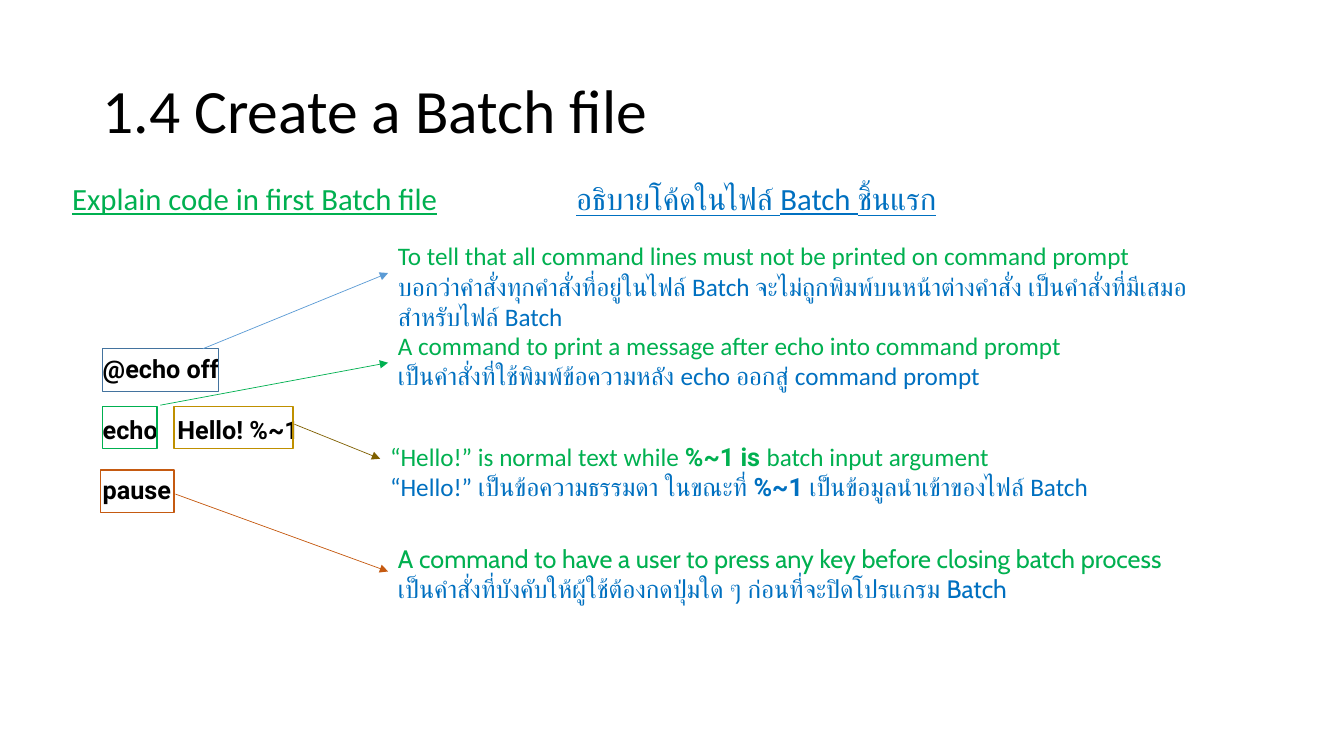
from lxml.etree import SubElement as Sub
from pptx import Presentation
from pptx.dml.color import RGBColor
from pptx.enum.shapes import MSO_CONNECTOR as Conn, MSO_SHAPE as Shape
from pptx.enum.text import MSO_ANCHOR as Anchor, PP_ALIGN as Align
from pptx.oxml.ns import qn
from pptx.util import Cm, Pt

GREEN, BLUE, BLACK = "00B050", "0070C0", "000000"

# top, height, left, font, English line, Thai line; odd pieces of a line are code
NOTES = [
    (5.94, 2.57, 9.78, "Calibri",
     ["To tell that all command lines must not be printed on command prompt"],
     ["บอกว่าคำสั่งทุกคำสั่งที่อยู่ในไฟล์ Batch จะไม่ถูกพิมพ์บนหน้าต่างคำสั่ง "
      "เป็นคำสั่งที่มีเสมอสำหรับไฟล์ Batch"]),
    (8.2, 1.8, 9.78, "Calibri",
     ["A command to print a message after echo into command prompt"],
     ["เป็นคำสั่งที่ใช้พิมพ์ข้อความหลัง echo ออกสู่ command prompt"]),
    (11, 1.8, 9.58, "Calibri",
     ["“Hello!” is normal text while ", "%~1 is ", "batch input argument"],
     ["“Hello!” เป็นข้อความธรรมดา ในขณะที่ ", "%~1 ",
      "เป็นข้อมูลนำเข้าของไฟล์ Batch"]),
    (13.56, 2.57, 9.78, "Cabin",
     ["A command to have a user to press any key before closing batch process"],
     ["เป็นคำสั่งที่บังคับให้ผู้ใช้ต้องกดปุ่มใด ๆ ก่อนที่จะปิดโปรแกรม Batch"]),
]

# frame left, top, width, colour; arrow start, end, colour
MARKS = [
    ((2.59, 8.79, 2.92, "43739E"), (5.11, 8.79), (9.78, 6.88), "5B9BD5"),
    ((2.59, 10.24, 1.37, GREEN), (4.04, 10.21), (9.78, 9.14), GREEN),
    ((4.39, 10.24, 3, "BF9000"), (7.42, 10.69), (9.58, 11.56), "806000"),
    ((2.54, 11.84, 1.85, "C55A11"), (4.42, 12.45), (9.78, 14.4), "C55A11"),
]


def rgb(color):
    return RGBColor.from_string(color)


def style(font, name, size, color, bold=False):
    font.name, font.size, font.bold = name, Pt(size), bold
    font.color.rgb = rgb(color)


def add_text(slide, left, top, width, height):
    box = slide.shapes.add_textbox(Cm(left), Cm(top), Cm(width), Cm(height))
    box.text_frame.word_wrap = True
    return box.text_frame


def set_tab(para, pos):
    stops = Sub(para._p.get_or_add_pPr(), qn("a:tabLst"))
    Sub(stops, qn("a:tab"), pos=str(Cm(pos)), algn="l")


def set_title(slide, text):
    title = slide.shapes.title
    title.left, title.top, title.width, title.height = (
        Cm(2.33), Cm(1.01), Cm(29.21), Cm(3.68))
    title.text_frame.text = text
    title.text_frame.vertical_anchor = Anchor.MIDDLE
    para = title.text_frame.paragraphs[0]
    para.alignment, para.line_spacing = Align.LEFT, 0.9
    style(para.font, "Calibri", 44, BLACK)


def add_heads(slide, left, right):
    para = add_text(slide, 1.57, 4.52, 30.73, 1.2).paragraphs[0]
    para.line_spacing = 0.9
    set_tab(para, 12.7)
    for text, color in ((left, GREEN), ("\t", BLACK), (right, BLUE)):
        run = para.add_run()
        run.text = text
        style(run.font, "Calibri", 22, color)
        run.font.underline = text != "\t"


def add_code(slide, lines):
    frame = add_text(slide, 2.34, 8.79, 5.54, 4.88)
    for i, line in enumerate(lines):
        para = frame.add_paragraph() if i else frame.paragraphs[0]
        para.text = line
        para.space_before = Pt(21.6 if i else 0)
        set_tab(para, 1.88)
        style(para.font, "Roboto", 18, BLACK, True)


def add_note(slide, top, height, left, name, english, thai):
    frame = add_text(slide, left, top, 21.74, height)
    rows = (frame.paragraphs[0], english, GREEN), (frame.add_paragraph(), thai, BLUE)
    for para, parts, color in rows:
        for i, part in enumerate(parts):
            run = para.add_run()
            run.text = part
            code = i % 2 == 1
            style(run.font, "Roboto" if code else name, 18, color, code)


def add_frame(slide, left, top, width, color):
    box = slide.shapes.add_shape(
        Shape.RECTANGLE, Cm(left), Cm(top), Cm(width), Cm(1.07))
    box.shadow.inherit = False
    box.fill.background()
    box.line.color.rgb, box.line.width = rgb(color), Pt(1)


def add_arrow(slide, start, end, color):
    line = slide.shapes.add_connector(
        Conn.STRAIGHT, *(Cm(n) for n in start + end))
    line.line.color.rgb, line.line.width = rgb(color), Pt(0.5)
    Sub(line.line._get_or_add_ln(), qn("a:tailEnd"), type="triangle")
    Sub(line._element.spPr, qn("a:effectLst"))


def main():
    deck = Presentation()
    deck.slide_width, deck.slide_height = Cm(33.87), Cm(19.05)
    slide = deck.slides.add_slide(deck.slide_layouts.get_by_name("Title Only"))
    set_title(slide, "1.4 Create a Batch file")
    add_heads(slide, "Explain code in first Batch file",
              "อธิบายโค้ดในไฟล์ Batch ชิ้นแรก")
    add_code(slide, ["@echo off", "echo\tHello! %~1", "pause"])
    for note in NOTES:
        add_note(slide, *note)
    for frame, start, end, color in MARKS:
        add_frame(slide, *frame)
        add_arrow(slide, start, end, color)
    deck.save("out.pptx")


if __name__ == "__main__":
    main()
